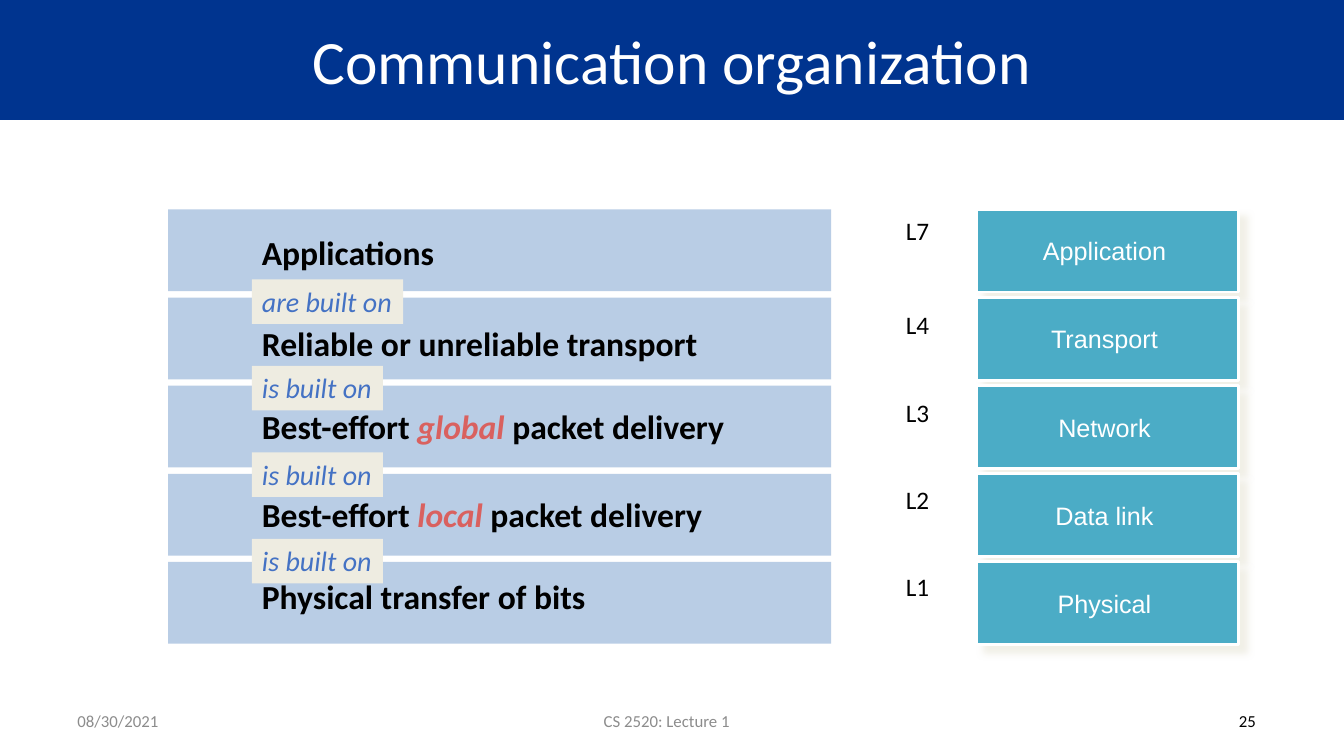
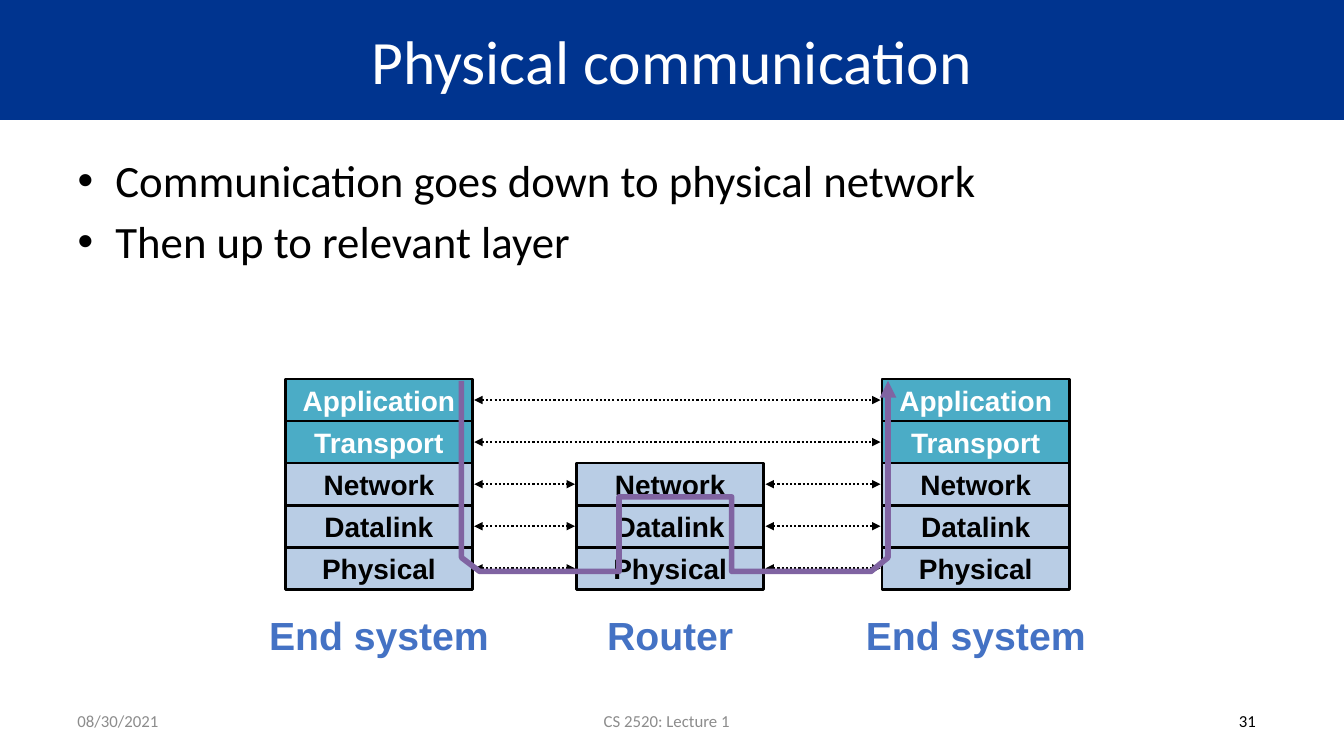
from dataclasses import dataclass, replace
from itertools import pairwise
from typing import NamedTuple

import pptx
import pptx.dml.color
import pptx.enum.dml
import pptx.enum.shapes
import pptx.enum.text
import pptx.oxml
import pptx.oxml.ns
import pptx.util

Cm, Pt = pptx.util.Cm, pptx.util.Pt
ALIGN = pptx.enum.text.PP_ALIGN
ANCHOR = pptx.enum.text.MSO_ANCHOR

COLORS = {
    "navy": "00348F", "white": "FFFFFF", "black": "000000", "gray": "8C8C8C",
    "pale_blue": "B9CDE5", "teal": "4BACC6", "cream": "EEECE1",
    "blue": "4472C4", "red": "D9615F", "purple": "8064A2",
}
SLIDE_WIDTH, SLIDE_HEIGHT = 33.87, 19.05


class Box(NamedTuple):
    """Left, top, width and height in centimetres."""
    left: float
    top: float
    width: float
    height: float

    def lengths(self) -> list:
        return [Cm(value) for value in self]


@dataclass(frozen=True)
class TextStyle:
    size: float
    color: str = "black"
    font: str = "Calibri"
    bold: bool = False
    italic: bool = False
    align: ALIGN = ALIGN.LEFT
    anchor: ANCHOR = ANCHOR.TOP
    wrap: bool = True


@dataclass(frozen=True)
class Layer:
    level: str
    name: str
    statement: tuple[str, ...]  # the second part, if any, is emphasised
    statement_top: float
    level_top: float
    link: str = ""
    link_width: float = 3.3


@dataclass(frozen=True)
class Stack:
    caption: str
    left: float
    first_row: int

    @property
    def right(self) -> float:
        return self.left + CELL_WIDTH


TITLE = TextStyle(44, "white", align=ALIGN.CENTER, anchor=ANCHOR.MIDDLE)
BODY = TextStyle(32)
FOOTER = TextStyle(12, "gray", anchor=ANCHOR.MIDDLE)
STATEMENT = TextStyle(24, bold=True)
LINK = TextStyle(20, "blue", italic=True, wrap=False)
LEVEL = TextStyle(18)
LAYER_NAME = TextStyle(18, "white", "Arial", align=ALIGN.CENTER, anchor=ANCHOR.MIDDLE)
CELL = TextStyle(20, "black", "Arial", bold=True, align=ALIGN.CENTER, anchor=ANCHOR.MIDDLE)
CAPTION = TextStyle(28, "blue", "Arial", bold=True, align=ALIGN.CENTER)

LAYERS = [
    Layer("L7", "Application", ("Applications",), 5.72, 5.31, "are built on", 3.81),
    Layer("L4", "Transport", ("Reliable or unreliable transport",), 8, 7.67, "is built on"),
    Layer("L3", "Network", ("Best-effort ", "global ", "packet delivery"), 10.11, 9.88,
          "is built on"),
    Layer("L2", "Data link", ("Best-effort ", "local ", "packet delivery"), 12.32, 12.07,
          "is built on"),
    Layer("L1", "Physical", ("Physical transfer of bits",), 14.4, 14.27),
]
LAYERS_TOP, LAYER_PITCH = 5.28, 2.22
LINKS_TOP, LINK_PITCH = 7.04, 2.18

ROWS = ["Application", "Transport", "Network", "Datalink", "Physical"]
UPPER_ROWS = 2
ROWS_TOP, CELL_WIDTH, CELL_HEIGHT = 9.55, 4.72, 1.06
ARROW_GAP = 0.04
STACKS = [
    Stack("End system", 7.19, 0),
    Stack("Router", 14.53, 2),
    Stack("End system", 22.23, 0),
]
SIGNAL_ROUTE = [
    (11.63, 9.6), (11.63, 14.05), (12.09, 14.4), (15.6, 14.4), (15.6, 12.52),
    (18.44, 12.52), (18.44, 14.4), (21.95, 14.4), (22.38, 14.05), (22.38, 9.6),
]


def rgb(name: str) -> pptx.dml.color.RGBColor:
    return pptx.dml.color.RGBColor.from_string(COLORS[name])


def format_paragraph(paragraph, style: TextStyle) -> None:
    paragraph.alignment = style.align
    font = paragraph.font
    font.size, font.name = Pt(style.size), style.font
    font.bold, font.italic = style.bold, style.italic
    font.color.rgb = rgb(style.color)


def write(shape, style: TextStyle, *paragraphs: str) -> None:
    frame = shape.text_frame
    frame.text = "\n".join(paragraphs)
    frame.auto_size = pptx.enum.text.MSO_AUTO_SIZE.NONE
    frame.word_wrap = style.wrap
    frame.vertical_anchor = style.anchor
    for paragraph in frame.paragraphs:
        format_paragraph(paragraph, style)


def place(shape, box: Box) -> None:
    shape.left, shape.top, shape.width, shape.height = box.lengths()


def fill(shape, color: str) -> None:
    shape.fill.solid()
    shape.fill.fore_color.rgb = rgb(color)


def add_text(slide, box: Box, style: TextStyle, text: str):
    shape = slide.shapes.add_textbox(*box.lengths())
    write(shape, style, text)
    return shape


def add_rectangle(slide, box: Box, color: str, line: str = ""):
    shape = slide.shapes.add_shape(
        pptx.enum.shapes.MSO_SHAPE.RECTANGLE, *box.lengths())
    shape.shadow.inherit = False
    fill(shape, color)
    if line:
        shape.line.color.rgb = rgb(line)
        shape.line.width = Pt(2)
    else:
        shape.line.fill.background()
    return shape


def add_child(parent, tag: str, **attributes: str):
    child = pptx.oxml.parse_xml(f"<{tag} {pptx.oxml.ns.nsdecls('a')}/>")
    for name, value in attributes.items():
        child.set(name, value)
    parent.append(child)
    return child


def cast_shadow(shape) -> None:
    effects = shape._element.spPr.find(pptx.oxml.ns.qn("a:effectLst"))
    shadow = add_child(effects, "a:outerShdw", blurRad=str(Pt(5)), dist=str(Pt(8)),
                       dir="2700000", algn="tl", rotWithShape="0")
    color = add_child(shadow, "a:srgbClr", val=COLORS["cream"])
    add_child(color, "a:alpha", val="75000")


def add_arrow(slide, start: float, end: float, height: float) -> None:
    """Draw a level dotted arrow with a head at both ends."""
    connector = slide.shapes.add_connector(
        pptx.enum.shapes.MSO_CONNECTOR.STRAIGHT,
        Cm(start), Cm(height), Cm(end), Cm(height))
    line = connector.line
    line.color.rgb = rgb("black")
    line.width = Pt(1.5)
    line.dash_style = pptx.enum.dml.MSO_LINE.ROUND_DOT
    for tag in ("a:headEnd", "a:tailEnd"):
        add_child(line._get_or_add_ln(), tag, type="triangle")
    add_child(connector._element.spPr, "a:effectLst")


def start_slide(presentation, layout: int, title: str, number: int):
    slide = presentation.slides.add_slide(presentation.slide_layouts[layout])
    place(slide.shapes.title, Box(0, 0, SLIDE_WIDTH, 3.02))
    fill(slide.shapes.title, "navy")
    write(slide.shapes.title, TITLE, title)
    top, height = 17.65, 1.02
    add_text(slide, Box(1.7, top, 4.17, height), FOOTER, "08/30/2021")
    add_text(slide, Box(5.21, top, 23.19, height),
             replace(FOOTER, align=ALIGN.CENTER), "CS 2520: Lecture 1")
    add_text(slide, Box(28.37, top, 3.53, height),
             replace(FOOTER, color="black", align=ALIGN.RIGHT), str(number))
    return slide


def add_statement(slide, layer: Layer) -> None:
    shape = add_text(slide, Box(6.35, layer.statement_top, 14, 1.27), STATEMENT,
                     layer.statement[0])
    paragraph = shape.text_frame.paragraphs[0]
    for position, part in enumerate(layer.statement[1:]):
        run = paragraph.add_run()
        run.text = part
        if position == 0:
            run.font.italic = True
            run.font.color.rgb = rgb("red")


def add_layer_name(slide, top: float, name: str) -> None:
    shape = add_rectangle(slide, Box(24.61, top, 6.6, 2.08), "teal", "white")
    cast_shadow(shape)
    write(shape, LAYER_NAME, name)
    frame = shape.text_frame
    frame.margin_left = frame.margin_top = frame.margin_bottom = Cm(0.1)


def build_organization(presentation) -> None:
    slide = start_slide(presentation, 5, "Communication organization", 25)
    for index, layer in enumerate(LAYERS):
        top = LAYERS_TOP + index * LAYER_PITCH
        add_rectangle(slide, Box(4.24, top, 16.71, 2.06), "pale_blue")
        add_statement(slide, layer)
        add_layer_name(slide, top, layer.name)
        add_text(slide, Box(22.58, layer.level_top, 1.6, 1.78), LEVEL, layer.level)
    for index, layer in enumerate(LAYERS[:-1]):
        box = Box(6.35, LINKS_TOP + index * LINK_PITCH, layer.link_width, 1.12)
        write(add_rectangle(slide, box, "cream"), LINK, layer.link)


def add_stack(slide, stack: Stack) -> None:
    for row, name in enumerate(ROWS):
        if row < stack.first_row:
            continue
        upper = row < UPPER_ROWS
        box = Box(stack.left, ROWS_TOP + row * CELL_HEIGHT, CELL_WIDTH, CELL_HEIGHT)
        cell = add_rectangle(slide, box, "teal" if upper else "pale_blue", "black")
        write(cell, replace(CELL, color="white" if upper else "black"), name)
    width = 7
    add_text(slide, Box(stack.left + (CELL_WIDTH - width) / 2, 15.27, width, 1.45),
             CAPTION, stack.caption)


def add_signal_route(slide) -> None:
    start, *rest = [(Cm(x), Cm(y)) for x, y in SIGNAL_ROUTE]
    builder = slide.shapes.build_freeform(*start)
    builder.add_line_segments(rest, close=False)
    route = builder.convert_to_shape()
    route.shadow.inherit = False
    route.fill.background()
    route.line.color.rgb = rgb("purple")
    route.line.width = Pt(4)
    add_child(route.line._get_or_add_ln(), "a:tailEnd", type="triangle")


def build_physical(presentation) -> None:
    slide = start_slide(presentation, 1, "Physical communication", 31)
    body = slide.placeholders[1]
    place(body, Box(1.7, 3.73, 30.48, 13.28))
    write(body, BODY, "Communication goes down to physical network",
          "Then up to relevant layer")
    first, second = body.text_frame.paragraphs
    first.space_before, second.space_before = Pt(0), Pt(5)
    for stack in STACKS:
        add_stack(slide, stack)
    for row in range(len(ROWS)):
        present = [stack for stack in STACKS if stack.first_row <= row]
        for near, far in pairwise(present):
            add_arrow(slide, near.right + ARROW_GAP, far.left - ARROW_GAP,
                      ROWS_TOP + (row + 0.5) * CELL_HEIGHT)
    add_signal_route(slide)


def main() -> None:
    presentation = pptx.Presentation()
    presentation.slide_width = Cm(SLIDE_WIDTH)
    presentation.slide_height = Cm(SLIDE_HEIGHT)
    build_organization(presentation)
    build_physical(presentation)
    presentation.save("out.pptx")


if __name__ == "__main__":
    main()
